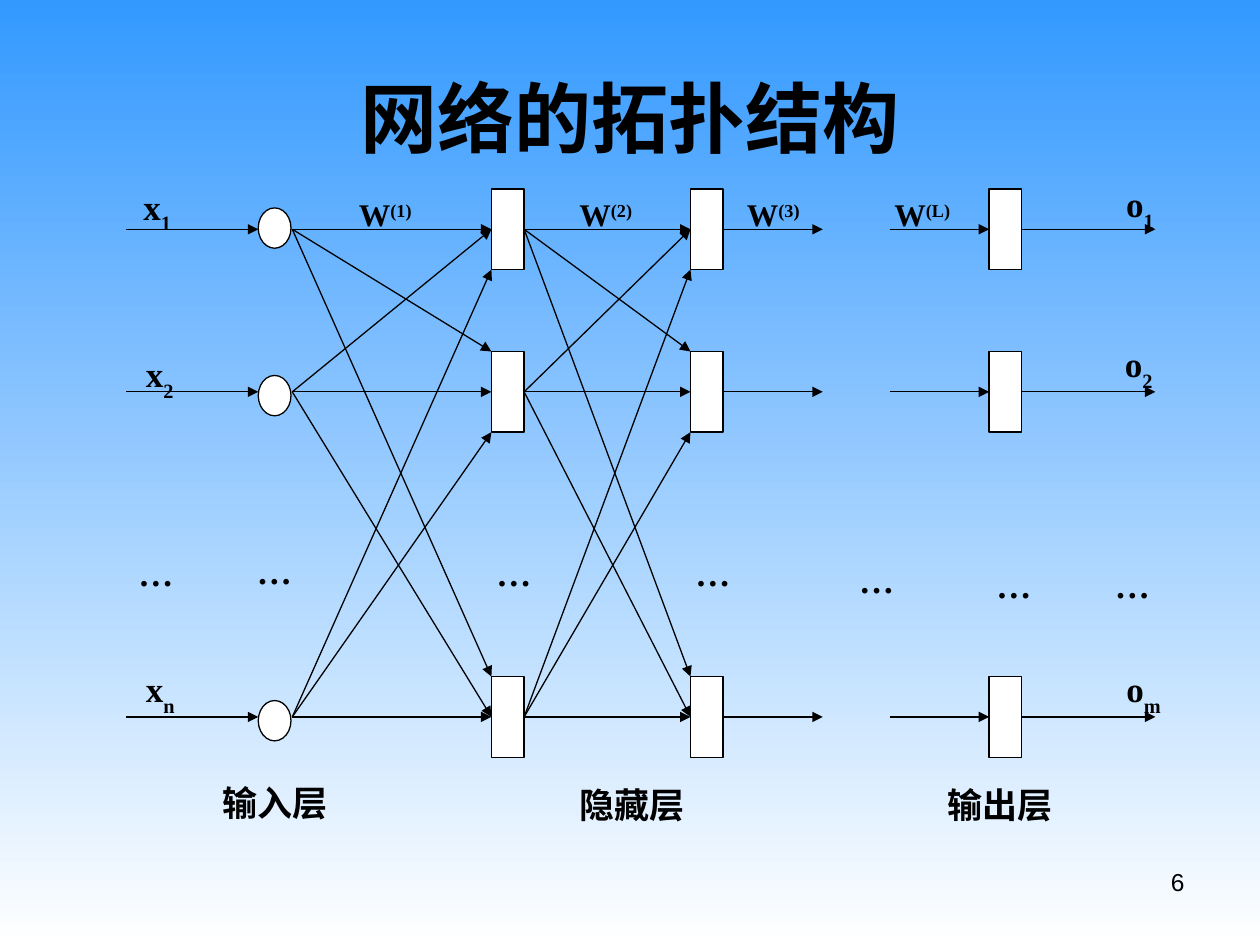
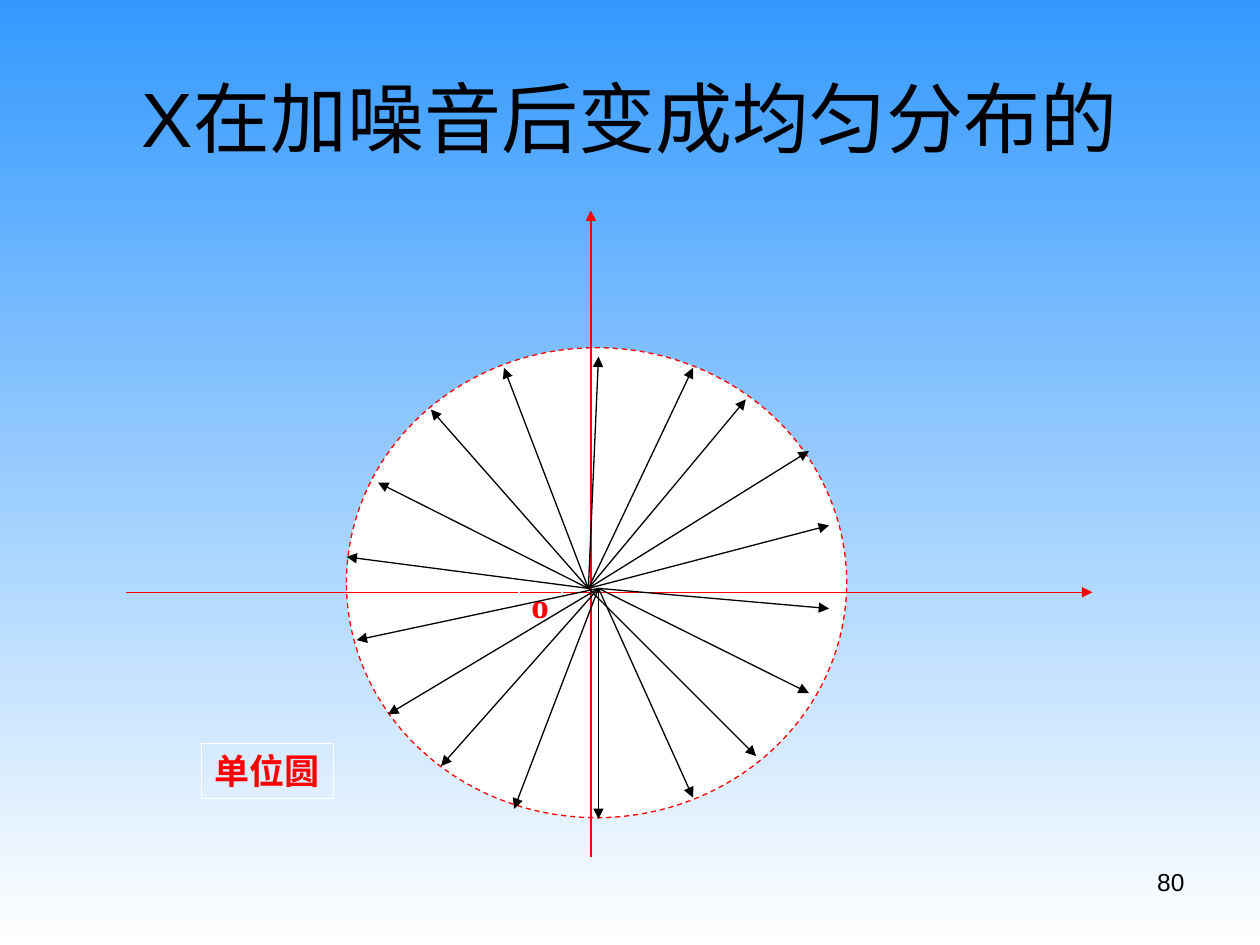
from pptx import Presentation
from pptx.dml.color import RGBColor
from pptx.enum.dml import MSO_LINE
from pptx.enum.shapes import MSO_CONNECTOR, MSO_SHAPE
from pptx.enum.text import MSO_ANCHOR, MSO_AUTO_SIZE, PP_ALIGN
from pptx.oxml.ns import qn
from pptx.util import Inches, Pt
from lxml.etree import SubElement

# Shared look
SKY = RGBColor(0x33, 0x99, 0xFF)
WHITE = RGBColor(0xFF, 0xFF, 0xFF)
BLACK = RGBColor(0, 0, 0)
RED = RGBColor(0xFF, 0, 0)
SERIF, SANS = "Times New Roman", "Arial"
LINE_WIDTH = Pt(0.75)
SUBSCRIPT, SUPERSCRIPT = -30, 30
THREE_CHARACTERS = 1.05  # width that holds three characters on one line

# Network content
NETWORK_TITLE, NETWORK_PAGE = "网络的拓扑结构", "6"
ROWS = (1.82, 3.11, 5.69)
INPUT_LEFT, INPUT_TOPS = 2.05, (1.65, 2.98, 5.56)
NODE_WIDTH, INPUT_HEIGHT, UNIT_HEIGHT = 0.26, 0.32, 0.64
HIDDEN_LEFTS, OUTPUT_LEFT = (3.9, 5.48), 7.85
SIGNAL_SPANS = [(1, 2.05), (8.11, 9.17), (5.74, 6.53), (7.06, 7.85)]
FULL_LINK_SPANS = [(2.32, 3.9), (4.16, 5.48)]
SIGNALS = [  # letter, index, left, top, width
    ("x", "1", 1.04, 1.42, 0.43), ("x", "2", 1.06, 2.75, 0.43),
    ("x", "n", 1.06, 5.25, 0.45), ("o", "1", 8.84, 1.4, 0.43),
    ("o", "2", 8.83, 2.67, 0.43), ("o", "m", 8.84, 5.25, 0.49),
]
LAYER_NAMES = [("输入层", 1.67, 6.15), ("隐藏层", 4.5, 6.17), ("输出层", 7.42, 6.17)]
ELLIPSES = [(1, 4.33), (1.94, 4.31), (3.84, 4.33), (5.42, 4.33),
            (6.72, 4.38), (7.81, 4.42), (8.75, 4.42)]
WEIGHTS = [("(1)", 2.75, 0.67), ("(2)", 4.5, 0.67), ("(3)", 5.83, 0.83), ("(L)", 7, 0.67)]

# Unit circle content
CIRCLE_TITLE, CIRCLE_PAGE = "X在加噪音后变成均匀分布的", "80"
CIRCLE = (2.75, 2.76, 3.97, 3.73)
AXES = [((1, 4.7), (8.67, 4.7)), ((4.69, 6.8), (4.69, 1.67))]
CIRCLE_LABELS = [("o", (4.12, 4.58, 0.34, 0.44)),
                 ("单位圆", (1.6, 5.9, THREE_CHARACTERS, 0.44))]
VECTOR_TIPS = {  # starting point: tips
    (4.67, 4.67): [(6.58, 4.17), (6.42, 3.58), (5.92, 3.17), (5.5, 2.92), (4.75, 2.83),
                   (4, 2.92), (3.42, 3.25), (3, 3.83), (2.75, 4.42), (6, 6)],
    (4.75, 4.67): [(2.83, 5.08), (3.08, 5.67), (3.5, 6.08), (4.08, 6.42), (4.75, 6.5),
                   (5.5, 6.33), (6.58, 4.83), (6.42, 5.5)],
}


def add_text(slide, text, box, size=20, font=SERIF, color=BLACK, bold=True,
             align=PP_ALIGN.LEFT, anchor=MSO_ANCHOR.TOP, wrap=False, grow=True,
             script="", baseline=0, space_before=0, border=None):
    label = slide.shapes.add_textbox(*map(Inches, box))
    frame = label.text_frame
    frame.word_wrap = wrap
    frame.auto_size = MSO_AUTO_SIZE.SHAPE_TO_FIT_TEXT if grow else MSO_AUTO_SIZE.NONE
    frame.vertical_anchor = anchor
    paragraph = frame.paragraphs[0]
    paragraph.alignment = align
    paragraph.space_before = Pt(space_before)
    for part, shift in ((text, 0), (script, baseline)):
        if not part:
            continue
        run = paragraph.add_run()
        run.text = part
        run.font.name, run.font.size, run.font.bold = font, Pt(size), bold
        run.font.color.rgb = color
        if shift:
            run.font._element.set("baseline", str(shift * 1000))
    if border is not None:
        label.line.color.rgb = border
        label.line.width = LINE_WIDTH


def add_node(slide, kind, box, color=BLACK, dash=None):
    node = slide.shapes.add_shape(kind, *map(Inches, box))
    node.shadow.inherit = False
    node.fill.solid()
    node.fill.fore_color.rgb = WHITE
    node.line.color.rgb = color
    node.line.width = LINE_WIDTH
    if dash:
        node.line.dash_style = dash


def add_arrow(slide, start, end, color=BLACK):
    arrow = slide.shapes.add_connector(MSO_CONNECTOR.STRAIGHT, *map(Inches, start + end))
    arrow.line.color.rgb = color
    arrow.line.width = LINE_WIDTH
    properties = arrow._element.spPr
    SubElement(properties.find(qn("a:ln")), qn("a:tailEnd"), type="triangle")
    SubElement(properties, qn("a:effectLst"))


def add_base_slide(deck, title, page, **title_format):
    slide = deck.slides.add_slide(deck.slide_layouts[6])
    sky = slide.background.fill
    sky.gradient()
    sky.gradient_angle = 270
    for stop, color in zip(sky.gradient_stops, (SKY, WHITE)):
        stop.color.rgb = color
    add_text(slide, title, (0.5, 0.3, 9, 1.25), size=44, align=PP_ALIGN.CENTER,
             anchor=MSO_ANCHOR.MIDDLE, wrap=True, grow=False, **title_format)
    add_text(slide, page, (7.17, 6.83, 2.33, 0.52), size=14, font=SANS, bold=False,
             align=PP_ALIGN.RIGHT, wrap=True, grow=False)
    return slide


def build_network(deck):
    slide = add_base_slide(deck, NETWORK_TITLE, NETWORK_PAGE)

    # Nodes of each layer
    for top in INPUT_TOPS:
        add_node(slide, MSO_SHAPE.OVAL, (INPUT_LEFT, top, NODE_WIDTH, INPUT_HEIGHT))
    for left in (*HIDDEN_LEFTS, OUTPUT_LEFT):
        for row in ROWS:
            add_node(slide, MSO_SHAPE.RECTANGLE,
                     (left, row - UNIT_HEIGHT / 2, NODE_WIDTH, UNIT_HEIGHT))

    # Straight signals, then full links: upper rows enter at the top, lower at the bottom
    for start, end in SIGNAL_SPANS:
        for row in ROWS:
            add_arrow(slide, (start, row), (end, row))
    for start, end in FULL_LINK_SPANS:
        for source, source_row in enumerate(ROWS):
            for target, target_row in enumerate(ROWS):
                entry = 0 if source == target else (source - 1) * UNIT_HEIGHT / 2
                add_arrow(slide, (start, source_row), (end, target_row + entry))

    # Labels
    for letter, index, left, top, width in SIGNALS:
        add_text(slide, letter, (left, top, width, 0.5), script=index, baseline=SUBSCRIPT)
    for name, left, top in LAYER_NAMES:
        add_text(slide, name, (left, top, THREE_CHARACTERS, 0.44))
    for left, top in ELLIPSES:
        add_text(slide, "…", (left, top, 0.48, 0.44))
    for index, left, width in WEIGHTS:
        add_text(slide, "W", (left, 1.5, width, 0.4), size=18, wrap=True,
                 script=index, baseline=SUPERSCRIPT, space_before=11.2)


def build_unit_circle(deck):
    slide = add_base_slide(deck, CIRCLE_TITLE, CIRCLE_PAGE, font=SANS, bold=False)

    # Circle, axes and their labels
    add_node(slide, MSO_SHAPE.OVAL, CIRCLE, color=RED, dash=MSO_LINE.DASH)
    for start, end in AXES:
        add_arrow(slide, start, end, color=RED)
    for label, box in CIRCLE_LABELS:
        add_text(slide, label, box, color=RED, align=PP_ALIGN.JUSTIFY, border=WHITE)

    # Vectors spread around the circle
    for start, tips in VECTOR_TIPS.items():
        for tip in tips:
            add_arrow(slide, start, tip)


def main():
    deck = Presentation()
    deck.slide_width, deck.slide_height = Inches(10), Inches(7.5)
    build_network(deck)
    build_unit_circle(deck)
    deck.save("out.pptx")


if __name__ == "__main__":
    main()
